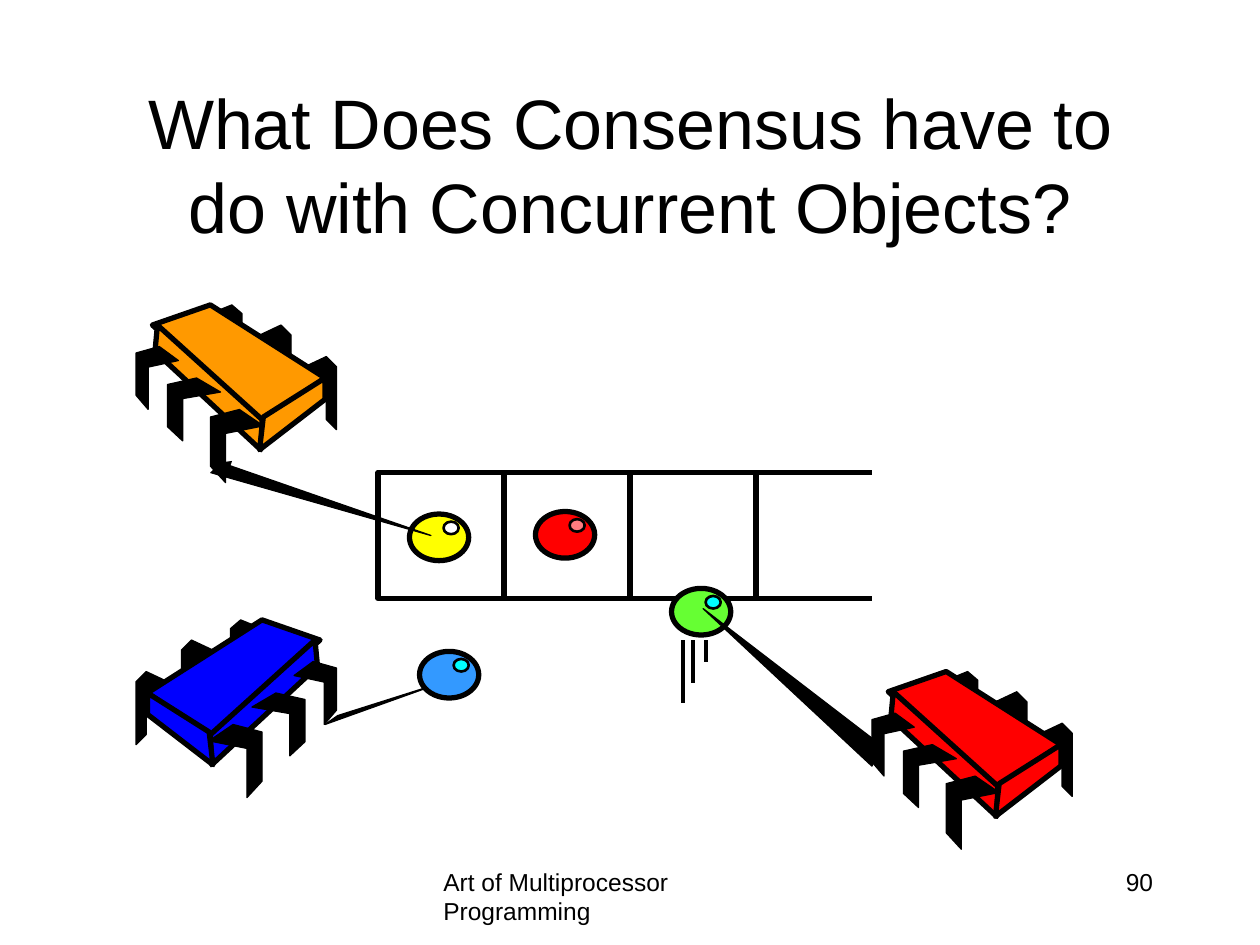
"""Build a slide of three chips exchanging objects through a shared queue."""
from lxml.etree import SubElement
from pptx import Presentation
from pptx.dml.color import RGBColor
from pptx.enum.shapes import MSO_CONNECTOR as CONN, MSO_SHAPE as SHAPE
from pptx.enum.text import MSO_ANCHOR as ANCHOR, MSO_AUTO_SIZE as AUTO, PP_ALIGN as ALIGN
from pptx.oxml.ns import qn
from pptx.util import Inches, Pt

BLACK = RGBColor(0x00, 0x00, 0x00)
WHITE = RGBColor(0xFF, 0xFF, 0xFF)
RED = RGBColor(0xFF, 0x00, 0x00)
PINK = RGBColor(0xFF, 0x7C, 0x80)
GREEN = RGBColor(0x66, 0xFF, 0x33)
CYAN = RGBColor(0x00, 0xFF, 0xFF)
BLUE = RGBColor(0x00, 0x00, 0xFF)
SKY = RGBColor(0x33, 0x99, 0xFF)
YELLOW = RGBColor(0xFF, 0xFF, 0x00)
ORANGE = RGBColor(0xFF, 0x99, 0x00)

CHIP_W = 1.59
BACK_LEG = [(0, .08), (.17, 0), (.25, .08), (.25, .58), (.17, .5), (.17, .17), (0, .25)]
FRONT_LEG = [(.23, 0), (.42, .13), (.12, .19), (.12, .58), (0, .45), (0, .06)]
BACK_SPOTS = [(1.34, .41, 1, 1), (.98, .16, 1, 1), (.59, 0, 1, .86)]
FRONT_SPOTS = [(.59, .83, 1, 1), (.25, .58, 1, .86), (0, .33, .8, .86)]
FACES = [
    [(.59, 0), (1.5, .58), (.99, .93), (.13, .16)],
    [(.17, .16), (1, .91), (.99, 1.15), (.15, .37)],
    [(1.5, .58), (1.5, .75), (.98, 1.15), (1.01, .89)],
]


def write(tf, text, size=14, align=ALIGN.LEFT, anchor=ANCHOR.TOP, color=BLACK, font="Arial"):
    tf.word_wrap = True
    tf.auto_size = AUTO.NONE
    tf.vertical_anchor = anchor
    p = tf.paragraphs[0]
    p.alignment = align
    r = p.add_run()
    r.text = text
    r.font.size = Pt(size)
    r.font.name = font
    r.font.color.rgb = color


class Board:
    def __init__(self, s):
        self.s = s

    def style(self, sp, fill=None, width=3):
        sp.shadow.inherit = False
        if fill is None:
            sp.fill.background()
        else:
            sp.fill.solid()
            sp.fill.fore_color.rgb = fill
        sp.line.color.rgb = BLACK
        sp.line.width = Pt(width)
        return sp

    def title(self, text, *box):
        sp = self.s.shapes.title
        sp.left, sp.top, sp.width, sp.height = map(Inches, box)
        write(sp.text_frame, text, size=40, align=ALIGN.CENTER, anchor=ANCHOR.MIDDLE)

    def text(self, text, *box, **fmt):
        sp = self.s.shapes.add_textbox(*map(Inches, box))
        write(sp.text_frame, text, **fmt)

    def shape(self, kind, *box, **look):
        return self.style(self.s.shapes.add_shape(kind, *map(Inches, box)), **look)

    def line(self, *ends, width=3):
        c = self.s.shapes.add_connector(CONN.STRAIGHT, *map(Inches, ends))
        c.line.color.rgb = BLACK
        c.line.width = Pt(width)
        SubElement(c._element.spPr, qn("a:effectLst"))

    def outline(self, pts, fill=BLACK, width=.75, close=True):
        pts = [(Inches(x), Inches(y)) for x, y in pts]
        fb = self.s.shapes.build_freeform(*pts[0])
        fb.add_line_segments(pts[1:], close=close)
        return self.style(fb.convert_to_shape(), fill, width)

    def arrow(self, pts):
        sp = self.outline(pts, close=False)
        SubElement(sp.line._get_or_add_ln(), qn("a:tailEnd"), type="triangle")

    def ball(self, x, y, fill, shine):
        self.shape(SHAPE.OVAL, x, y, .47, .37, fill=fill)
        self.shape(SHAPE.OVAL, x + .27, y + .06, .12, .1, fill=shine, width=1.5)

    def chip(self, x, y, fill, mirrored=False):
        def place(pts, dx=0, dy=0, sx=1, sy=1):
            spots = [(dx + px * sx, dy + py * sy) for px, py in pts]
            return [(x + (CHIP_W - px if mirrored else px), y + py) for px, py in spots]

        for spot in BACK_SPOTS:
            self.outline(place(BACK_LEG, *spot))
        for face in FACES:
            self.outline(place(face), fill, 3)
        for spot in FRONT_SPOTS:
            self.outline(place(FRONT_LEG, *spot))


def main():
    prs = Presentation()
    prs.slide_width, prs.slide_height = Inches(10), Inches(7.5)
    b = Board(prs.slides.add_slide(prs.slide_layouts[5]))

    b.text("Art of Multiprocessor Programming", 3.42, 6.83, 3.17, .5)
    b.text("90", 7.17, 6.83, 2.08, .5, align=ALIGN.RIGHT)
    b.title("What Does Consensus have to do with Concurrent Objects?", .75, .67, 8.5, 1.25)

    for x in (3, 4, 5):
        b.shape(SHAPE.RECTANGLE, x, 3.75, 1, 1)
    for y in (3.75, 4.75):
        b.line(5.92, y, 6.92, y)

    b.ball(5.33, 4.67, GREEN, CYAN)
    b.ball(4.25, 4.06, RED, PINK)
    b.chip(6.92, 5.33, RED)
    b.outline([(6.92, 6.08), (7, 5.92), (5.58, 4.83)])
    for x, bottom in ((5.42, 5.58), (5.5, 5.42), (5.6, 5.25)):
        b.line(x, 5.08, x, bottom, width=2.25)

    b.chip(1.08, 4.92, BLUE, mirrored=True)
    b.outline([(2.58, 5.75), (2.68, 5.68), (3.5, 5.42)])
    b.ball(3.33, 5.17, SKY, CYAN)
    b.ball(3.25, 4.08, YELLOW, WHITE)
    b.chip(1.08, 2.42, ORANGE)
    b.arrow([(1.67, 3.75), (3.42, 4.25), (1.75, 3.67)])

    prs.save("out.pptx")


if __name__ == "__main__":
    main()
